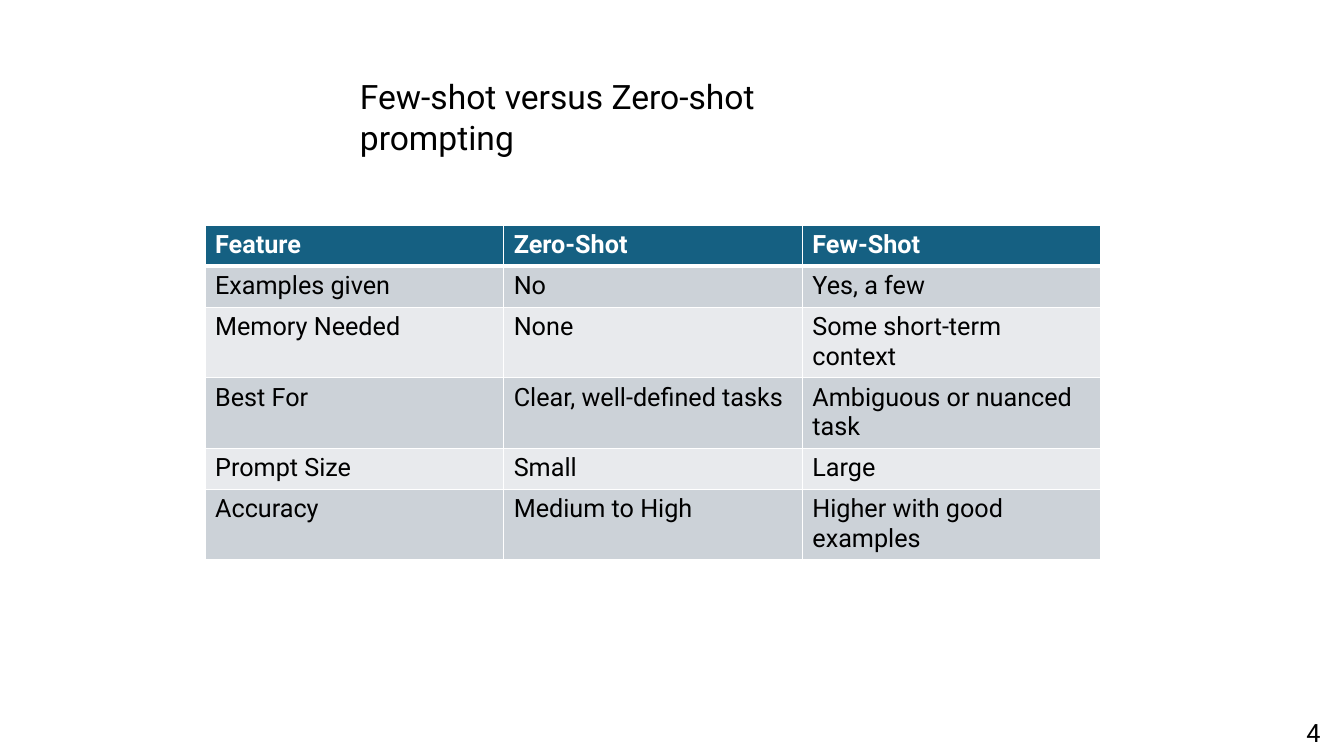
from lxml.etree import SubElement
from pptx import Presentation
from pptx.dml.color import RGBColor
from pptx.oxml.ns import qn
from pptx.util import Pt

FONT = "Roboto"
BLACK = RGBColor(0x00, 0x00, 0x00)
WHITE = RGBColor(0xFF, 0xFF, 0xFF)
HEADER_BLUE = RGBColor(0x15, 0x60, 0x82)
BAND_DARK = RGBColor(0xCC, 0xD2, 0xD8)
BAND_LIGHT = RGBColor(0xE8, 0xEA, 0xED)

COMPARISON = [
    ("Feature", "Zero-Shot", "Few-Shot"),
    ("Examples given", "No", "Yes, a few"),
    ("Memory Needed", "None", "Some short-term context"),
    ("Best For", "Clear, well-defined tasks", "Ambiguous or nuanced task"),
    ("Prompt Size", "Small", "Large"),
    ("Accuracy", "Medium to High", "Higher with good examples"),
]


def style_paragraph(para, size, color, bold=False):
    """Set the font of a whole paragraph."""
    para.font.name = FONT
    para.font.size = Pt(size)
    para.font.bold = bold
    para.font.color.rgb = color


def add_label(page, box, text, size, wrap):
    """Place one line of black text in the given box."""
    frame = page.shapes.add_textbox(*map(Pt, box)).text_frame
    frame.word_wrap = wrap
    frame.text = text
    style_paragraph(frame.paragraphs[0], size, BLACK)


def add_borders(cell, widths):
    """Draw white borders, with widths in points keyed by side."""
    properties = cell._tc.get_or_add_tcPr()
    for side in "LRTB":
        line = SubElement(properties, qn(f"a:ln{side}"), w=str(Pt(widths.get(side, 1))))
        fill = SubElement(line, qn("a:solidFill"))
        SubElement(fill, qn("a:srgbClr"), val=str(WHITE))


def add_comparison(page, box, rows):
    """Fill the box with a banded table under a blue header row."""
    left, top, width, row_height = box
    table = page.shapes.add_table(
        len(rows), len(rows[0]), Pt(left), Pt(top), Pt(width), Pt(row_height * len(rows))
    ).table
    for row_index, texts in enumerate(rows):
        header = row_index == 0
        band = BAND_DARK if row_index % 2 else BAND_LIGHT
        widths = {0: {"B": 3}, 1: {"T": 3}}.get(row_index, {})
        for column_index, text in enumerate(texts):
            cell = table.cell(row_index, column_index)
            cell.text = text
            add_borders(cell, widths)
            cell.fill.solid()
            cell.fill.fore_color.rgb = HEADER_BLUE if header else band
            style_paragraph(
                cell.text_frame.paragraphs[0], 18, WHITE if header else BLACK, header
            )


def main():
    """Build the slide and save it."""
    deck = Presentation()
    deck.slide_width, deck.slide_height = Pt(960), Pt(540)
    page = deck.slides.add_slide(deck.slide_layouts[6])
    add_label(page, (250, 51, 403, 36), "Few-shot versus Zero-shot prompting", 24, True)
    add_comparison(page, (146.5, 161, 640, 29.2), COMPARISON)
    add_label(page, (926, 509, 24.4, 29), "4", 18, False)
    deck.save("out.pptx")


if __name__ == "__main__":
    main()
